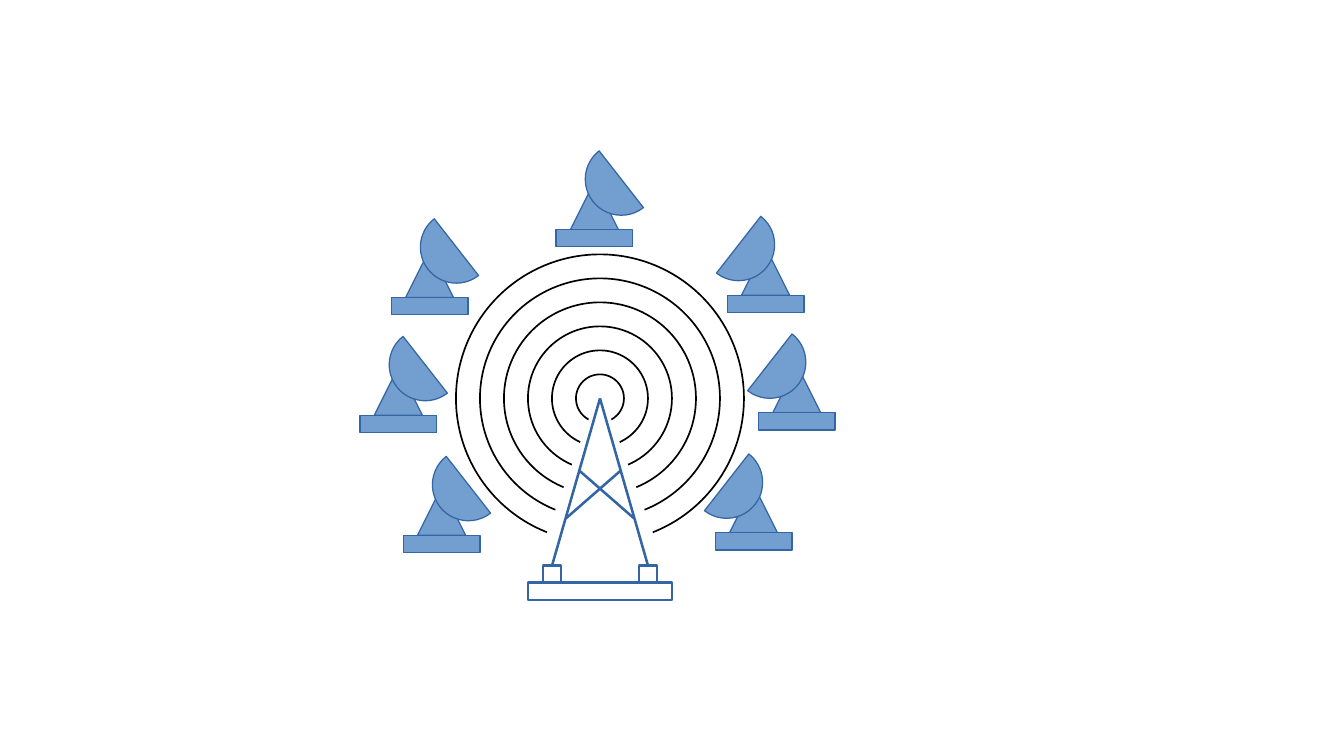
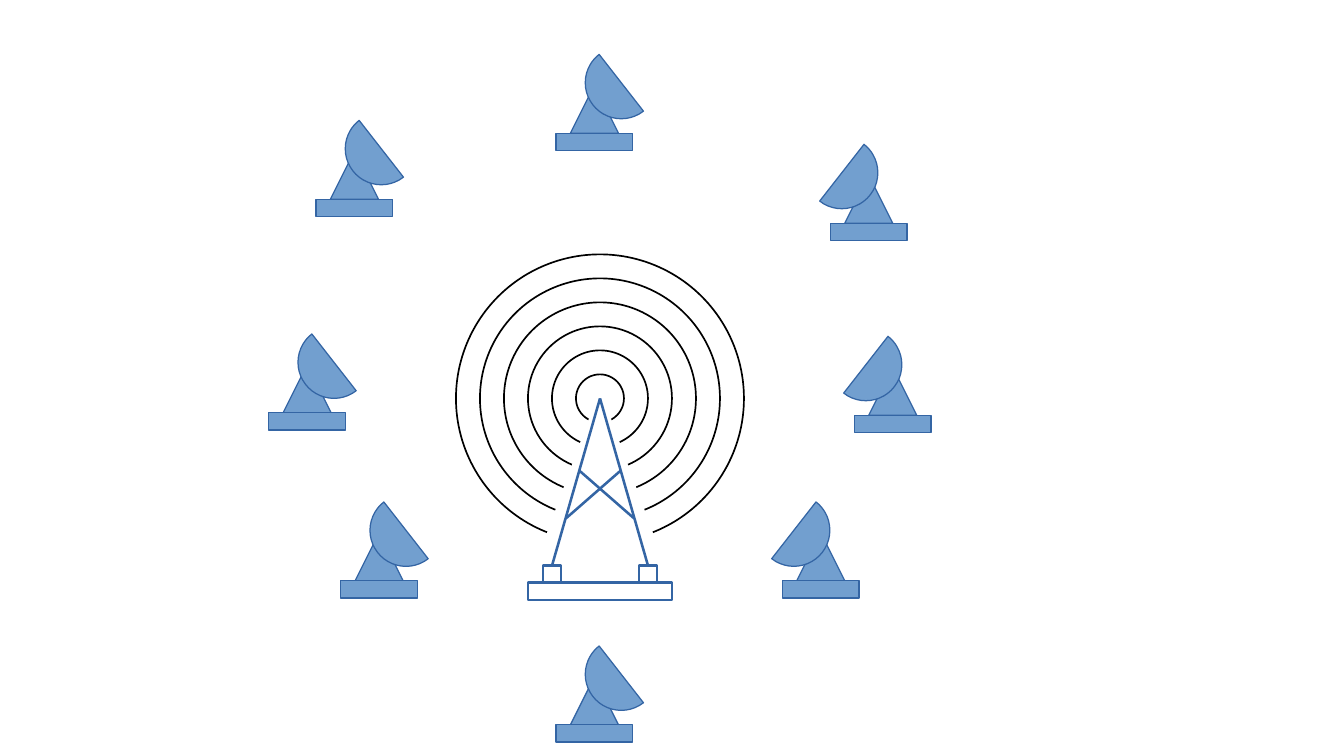
import pptx
import pptx.util
import pptx.dml.color
import pptx.enum.shapes
import pptx.oxml.ns
from lxml import etree

SHAPE = pptx.enum.shapes.MSO_SHAPE
COLORS = {"dish": "729FCF", "steel": "3465A4", "wave": "000000", "gap": "FFFFFF"}
COLUMNS, ROWS = 56, 31.5
MAST_X, MAST_Y = 25, 16.6
WAVES = 6

LEFT, RIGHT = -1, 1
NEAR_DISHES = [
    (33.2, 15.2, RIGHT), (31.4, 20.2, RIGHT), (31.9, 10.3, RIGHT),
    (16.6, 15.3, LEFT), (18.4, 20.3, LEFT), (17.9, 10.4, LEFT),
    (24.77, 7.57, LEFT),
]
FAR_DISHES = [
    (37.2, 15.3, RIGHT), (34.2, 22.2, RIGHT), (36.2, 7.3, RIGHT),
    (12.8, 15.2, LEFT), (15.8, 22.2, LEFT), (14.77, 6.3, LEFT),
    (24.77, 3.55, LEFT), (24.77, 28.2, LEFT),
]


def grid(cells):
    return pptx.util.Cm(cells * 0.5)


def rgb(name):
    return pptx.dml.color.RGBColor.from_string(COLORS[name])


class Deck:
    def __init__(self):
        self.prs = pptx.Presentation()
        self.prs.slide_width = grid(COLUMNS)
        self.prs.slide_height = grid(ROWS)
        self.s = None

    def add_slide(self):
        self.s = self.prs.slides.add_slide(self.prs.slide_layouts[6])

    def shape(self, shapes, kind, center, top, width, height,
              fill=None, line=None, weight=0):
        sp = shapes.add_shape(kind, grid(center - width / 2), grid(top),
                              grid(width), grid(height))
        sp.shadow.inherit = False
        if fill:
            sp.fill.solid()
            sp.fill.fore_color.rgb = rgb(fill)
        else:
            sp.fill.background()
        if line:
            sp.line.color.rgb = rgb(line)
            sp.line.width = pptx.util.Pt(weight)
        else:
            sp.line.fill.background()
        return sp

    def beam(self, shapes, x1, y1, x2, y2):
        cxn = shapes.add_connector(pptx.enum.shapes.MSO_CONNECTOR.STRAIGHT,
                                   grid(x1), grid(y1), grid(x2), grid(y2))
        cxn.line.color.rgb = rgb("steel")
        cxn.line.width = pptx.util.Pt(1.5)
        etree.SubElement(cxn._element.spPr, pptx.oxml.ns.qn("a:effectLst"))
        return cxn

    def dish(self, center, top, side):
        shapes = self.s.shapes.add_group_shape().shapes
        style = {"fill": "dish", "line": "steel"}
        self.shape(shapes, SHAPE.ISOSCELES_TRIANGLE, center, top, 2, 2, **style)
        self.shape(shapes, SHAPE.RECTANGLE, center, top + 2, 3.2, 0.72, **style)
        bowl = self.shape(shapes, SHAPE.CHORD, center - 1.12 * side, top - 1.6,
                          3, 3, **style)
        start, end = (308, 128) if side == RIGHT else (52, 232)
        bowl.adjustments[0] = start * 0.6
        bowl.adjustments[1] = end * 0.6

    def waves(self):
        shapes = self.s.shapes.add_group_shape().shapes
        for radius in range(WAVES, 0, -1):
            self.shape(shapes, SHAPE.OVAL, MAST_X, MAST_Y - radius,
                       2 * radius, 2 * radius, line="wave", weight=1)
        self.shape(self.s.shapes, SHAPE.ISOSCELES_TRIANGLE, MAST_X, 16.2,
                   5, 6.8, fill="gap")

    def mast(self):
        shapes = self.s.shapes.add_group_shape().shapes
        style = {"line": "steel", "weight": 1.5}
        self.shape(shapes, SHAPE.RECTANGLE, MAST_X, 24.28, 6, 0.72, **style)
        for side in (LEFT, RIGHT):
            foot_x = MAST_X + 2 * side
            foot = self.shape(shapes, SHAPE.RECTANGLE, foot_x, 23.57,
                              0.76, 0.71, **style)
            leg = self.beam(shapes, MAST_X, MAST_Y, foot_x, 23.57)
            leg.end_connect(foot, 0)
            self.beam(shapes, MAST_X + 0.87 * side, 19.6,
                      MAST_X - 1.42 * side, 21.6)

    def antenna_slide(self, dishes):
        self.add_slide()
        self.waves()
        self.mast()
        for center, top, side in dishes:
            self.dish(center, top, side)


def main():
    deck = Deck()
    for dishes in (NEAR_DISHES, FAR_DISHES):
        deck.antenna_slide(dishes)
    deck.prs.save("out.pptx")


if __name__ == "__main__":
    main()
